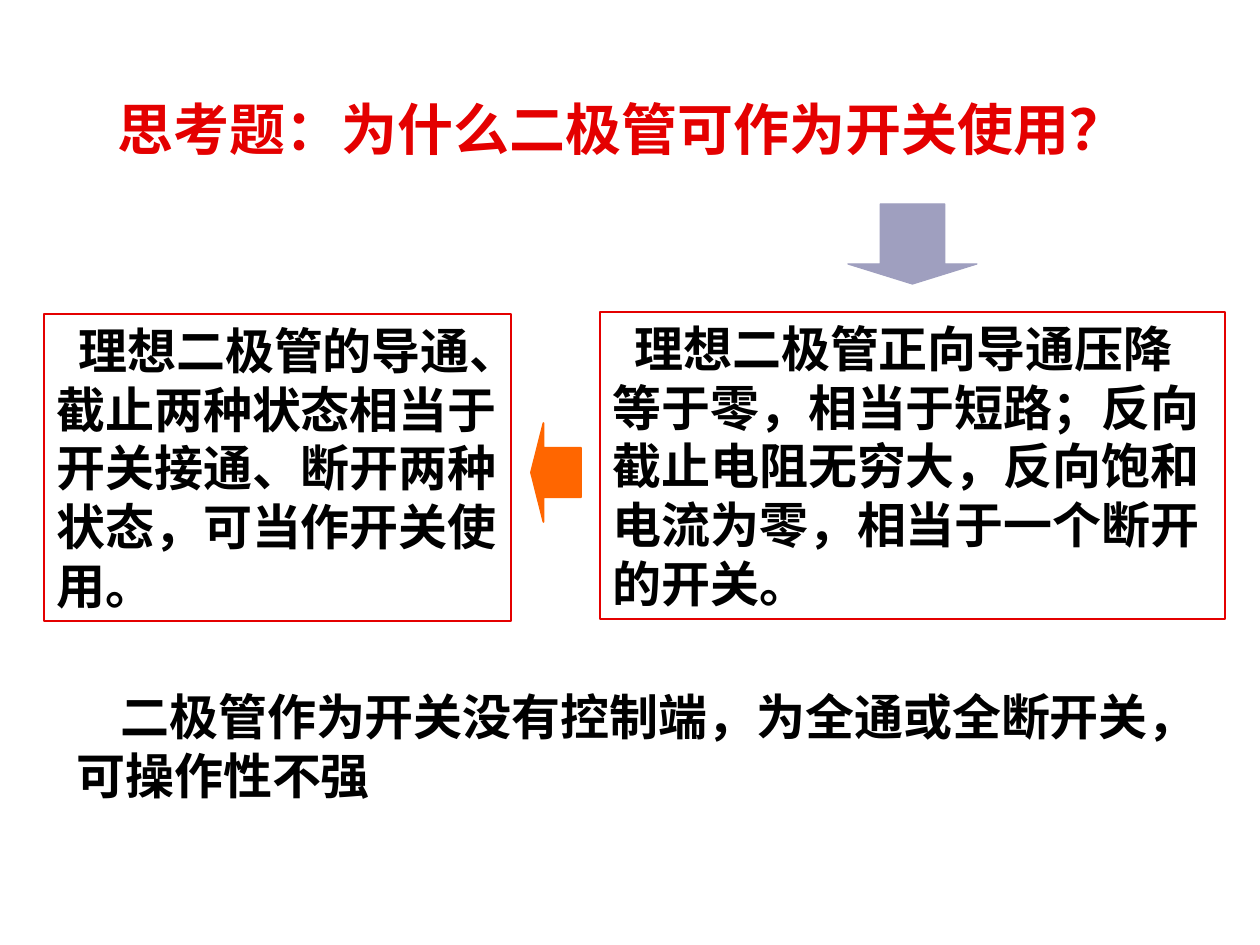
from pptx import Presentation
from pptx.dml.color import RGBColor
from pptx.enum.shapes import MSO_SHAPE
from pptx.enum.text import MSO_ANCHOR, PP_ALIGN
from pptx.util import Emu, Pt

PX = 914400 // 126
RED = RGBColor(0xE4, 0x00, 0x00)
BLACK = RGBColor(0x00, 0x00, 0x00)
LAVENDER = RGBColor(0x9F, 0x9F, 0xBF)
ORANGE = RGBColor(0xFF, 0x66, 0x00)
RECTANGLE = MSO_SHAPE.RECTANGLE
DOWN_ARROW = MSO_SHAPE.DOWN_ARROW
LEFT_ARROW = MSO_SHAPE.LEFT_ARROW
TOP = MSO_ANCHOR.TOP
LEFT = PP_ALIGN.LEFT
TITLE_ONLY = 5


def px(*lengths):
    return [Emu(length * PX) for length in lengths]


def write(frame, text, size, color, indent=0):
    frame.word_wrap = True
    frame.vertical_anchor = TOP
    paragraph = frame.paragraphs[0]
    paragraph.alignment = LEFT
    if indent:
        properties = paragraph._p.get_or_add_pPr()
        properties.set("marL", "0")
        properties.set("indent", str(indent * PX))
    run = paragraph.add_run()
    run.text = text
    run.font.name = "Arial"
    run.font.size = Pt(size)
    run.font.bold = True
    run.font.color.rgb = color
    return paragraph


def add_question(slide, bounds, text):
    question = slide.shapes.title
    question.left, question.top, question.width, question.height = px(*bounds)
    write(question.text_frame, text, 32, RED).line_spacing = 0.9


def add_framed_answer(slide, bounds, text):
    answer = slide.shapes.add_shape(RECTANGLE, *px(*bounds))
    answer.shadow.inherit = False
    answer.fill.background()
    answer.line.color.rgb = RED
    answer.line.width = Pt(0.75)
    write(answer.text_frame, text, 28, BLACK, indent=22)


def add_arrow(slide, direction, bounds, color, line_width):
    arrow = slide.shapes.add_shape(direction, *px(*bounds))
    arrow.shadow.inherit = False
    arrow.adjustments[0] = 0.5
    arrow.adjustments[1] = 0.25
    arrow.fill.solid()
    arrow.fill.fore_color.rgb = color
    arrow.line.color.rgb = color
    arrow.line.width = Pt(line_width)


def add_remark(slide, bounds, text):
    remark = slide.shapes.add_textbox(*px(*bounds))
    write(remark.text_frame, text, 28, BLACK, indent=44)


def main():
    deck = Presentation()
    deck.slide_width, deck.slide_height = px(1260, 945)
    slide = deck.slides.add_slide(deck.slide_layouts[TITLE_ONLY])

    add_question(slide, (105, 96, 1121, 120), "思考题：为什么二极管可作为开关使用？")
    add_framed_answer(
        slide, (600, 312, 625, 307),
        "理想二极管正向导通压降等于零，相当于短路；反向截止电阻无穷大，"
        "反向饱和电流为零，相当于一个断开的开关。")
    add_arrow(slide, DOWN_ARROW, (848, 204, 129, 80), LAVENDER, 0.75)
    add_arrow(slide, LEFT_ARROW, (531, 423, 50, 99), ORANGE, 1)
    add_framed_answer(
        slide, (44, 314, 467, 307),
        "理想二极管的导通、截止两种状态相当于开关接通、断开两种状态，可当作开关使用。")
    add_remark(
        slide, (64, 680, 1160, 131),
        "二极管作为开关没有控制端，为全通或全断开关，可操作性不强")

    deck.save("out.pptx")


if __name__ == "__main__":
    main()
